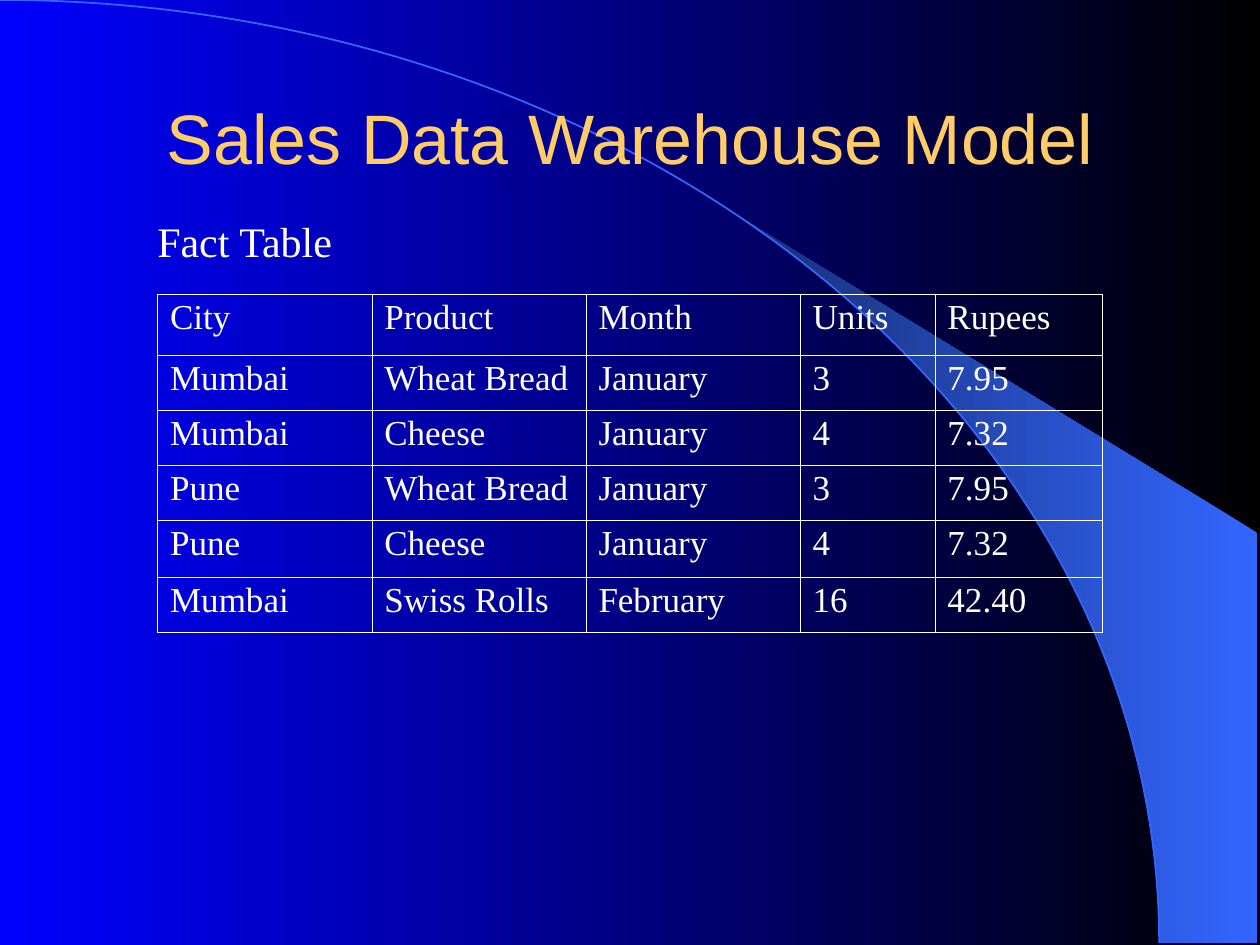
import math

from lxml import etree
from pptx import Presentation, util as u
from pptx.dml.color import RGBColor
from pptx.enum import shapes, text
from pptx.oxml import ns

WIDE, HIGH = u.Inches(10), u.Inches(7.5)

BLACK = RGBColor(0x00, 0x00, 0x00)
BLUE = RGBColor(0x00, 0x00, 0xFF)
SKY = RGBColor(0x33, 0x66, 0xFF)
NAVY = RGBColor(0x17, 0x2F, 0x75)
GOLD = RGBColor(0xFF, 0xCC, 0x66)
WHITE = RGBColor(0xFF, 0xFF, 0xFF)
SANS, SERIF = "Arial", "Times New Roman"

COLS = (1.7, 1.7, 1.7, 1.07, 1.33)
ROWS = (0.49, 0.44, 0.44, 0.44, 0.45, 0.44)
SALES = (
    ("City", "Product", "Month", "Units", "Rupees"),
    ("Mumbai", "Wheat Bread", "January", "3", "7.95"),
    ("Mumbai", "Cheese", "January", "4", "7.32"),
    ("Pune", "Wheat Bread", "January", "3", "7.95"),
    ("Pune", "Cheese", "January", "4", "7.32"),
    ("Mumbai", "Swiss Rolls", "February", "16", "42.40"),
)


def area(left, top, width, height):
    """Turn percentages of the slide into a box in EMU."""
    return tuple(round(part * side / 100) for part, side in
                 zip((left, top, width, height), (WIDE, HIGH) * 2))


def blend(fill, right, left):
    """Fill with a gradient that runs from right to left."""
    fill.gradient()
    fill.gradient_angle = 180
    for stop, color in zip(fill.gradient_stops, (right, left)):
        stop.color.rgb = color


def style(para, size, face, color):
    for run in para.runs:
        font = run.font
        font.size, font.name, font.color.rgb = u.Pt(size), face, color


def add_sweep(slide, box):
    """Draw an arc, and the band between it and the slide's right edge."""
    left, top, width, height = box
    rad_x, rad_y = width / 2, height / 2
    mid_x, mid_y = left + rad_x, top + rad_y
    edge = 0.998 * WIDE
    steps, reach = 24, math.radians(50.2)
    curve = [(mid_x + rad_x * math.cos(turn), mid_y - rad_y * math.sin(turn))
             for turn in (reach * (1 - i / steps) for i in range(steps + 1))]
    pen = slide.shapes.build_freeform(round(edge), round(mid_y))
    pen.add_line_segments([(round(x), round(y)) for x, y in
                           [(edge, 0.564 * HIGH), *curve]])
    band = pen.convert_to_shape()
    band.shadow.inherit = False
    blend(band.fill, SKY, NAVY)
    band.line.fill.background()

    arc = slide.shapes.add_shape(shapes.MSO_SHAPE.ARC, *box)
    arc.shadow.inherit = False
    arc.fill.background()
    arc.line.color.rgb, arc.line.width = SKY, u.Pt(1)


def add_words(slide, box, words, size, face, color, wrap=True):
    frame = slide.shapes.add_textbox(*box).text_frame
    frame.word_wrap = wrap
    frame.text = words
    style(frame.paragraphs[0], size, face, color)
    return frame


def add_title(slide, box):
    frame = add_words(slide, box, "Sales Data Warehouse Model", 40, SANS, GOLD)
    frame.vertical_anchor = text.MSO_ANCHOR.MIDDLE
    frame.paragraphs[0].alignment = text.PP_ALIGN.CENTER


def add_edge(cell, side, points):
    props = cell._tc.get_or_add_tcPr()
    line = etree.SubElement(props, ns.qn("a:ln" + side), w=str(u.Pt(points)))
    fill = etree.SubElement(line, ns.qn("a:solidFill"))
    etree.SubElement(fill, ns.qn("a:srgbClr"), val=str(WHITE))


def add_sales(slide, box):
    width, height = box[2:]
    table = slide.shapes.add_table(len(ROWS), len(COLS), *box).table
    table.first_row = table.horz_banding = False
    for col, share in zip(table.columns, COLS):
        col.width = round(width * share / sum(COLS))
    for row, share in zip(table.rows, ROWS):
        row.height = round(height * share / sum(ROWS))
    for i, record in enumerate(SALES):
        for j, value in enumerate(record):
            cell = table.cell(i, j)
            cell.text = value
            para = cell.text_frame.paragraphs[0]
            para.line_spacing, para.space_before = 0.93, u.Pt(5)
            style(para, 20, SERIF, WHITE)
            outer = {"L": j == 0, "R": j == len(COLS) - 1,
                     "T": i == 0, "B": i == len(ROWS) - 1}
            for side, rim in outer.items():
                add_edge(cell, side, 0.5 if rim else 0.23)
            cell.fill.background()


def main():
    deck = Presentation()
    deck.slide_width, deck.slide_height = WIDE, HIGH
    slide = deck.slides.add_slide(deck.slide_layouts[6])
    blend(slide.background.fill, BLACK, BLUE)
    add_sweep(slide, area(-92, 0, 184, 199.6))
    add_title(slide, area(7.5, 8.9, 85, 11.1))
    add_sales(slide, area(12.5, 31.1, 75, 35.8))
    add_words(slide, area(11.5, 22.2, 16.1, 6.7), "Fact Table",
              24, SERIF, WHITE, wrap=False)
    deck.save("out.pptx")


if __name__ == "__main__":
    main()
